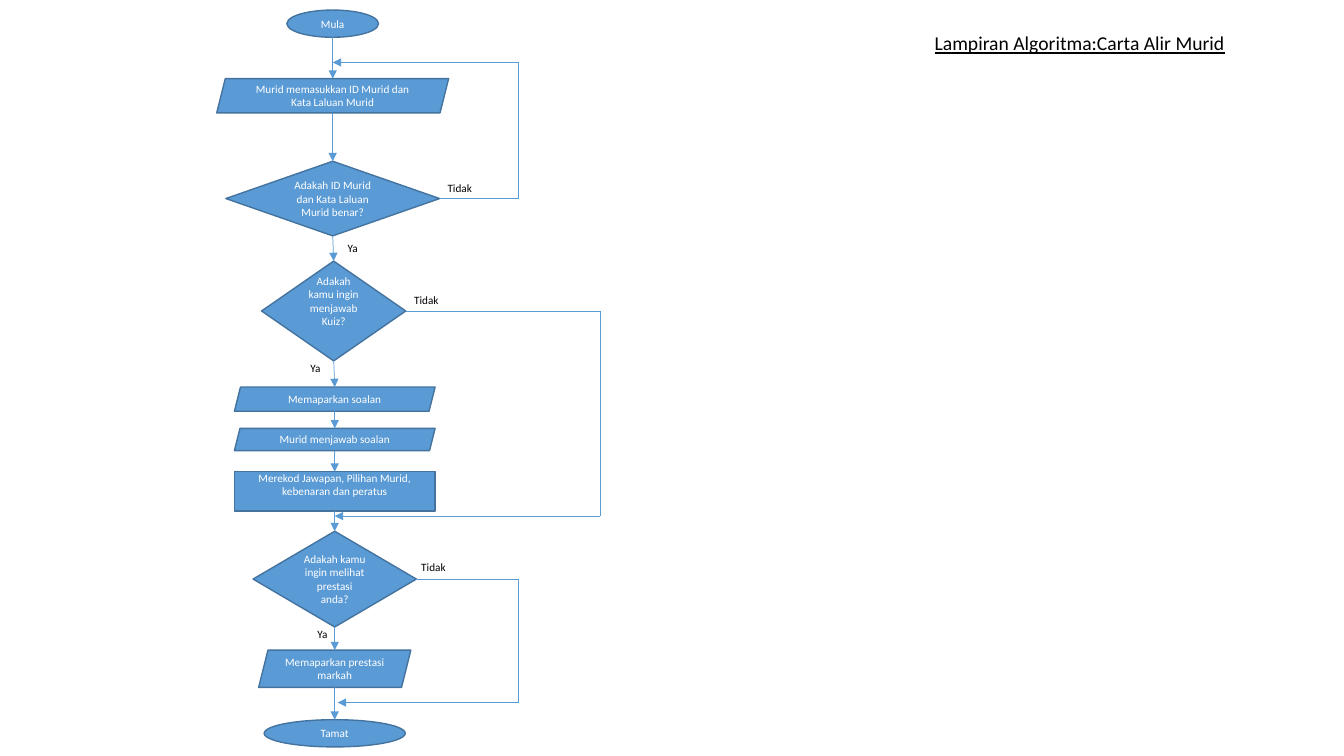
from dataclasses import dataclass
from itertools import pairwise

from lxml import etree
from pptx import Presentation
from pptx.dml.color import RGBColor
from pptx.enum.shapes import MSO_CONNECTOR, MSO_SHAPE
from pptx.enum.text import MSO_ANCHOR, PP_ALIGN
from pptx.oxml.ns import qn
from pptx.util import Inches, Pt

STRAIGHT = MSO_CONNECTOR.STRAIGHT
OVAL, DIAMOND = MSO_SHAPE.OVAL, MSO_SHAPE.DIAMOND
INPUT, PROCESS = MSO_SHAPE.PARALLELOGRAM, MSO_SHAPE.RECTANGLE
JOINABLE = (DIAMOND, PROCESS)
TOP, BOTTOM, RIGHT = 0, 2, 3
CELL = Inches(0.1)  # grid step for columns and rows


@dataclass(frozen=True)
class Theme:
    font: str = "Calibri"
    fill: RGBColor = RGBColor(0x5B, 0x9B, 0xD5)
    outline: RGBColor = RGBColor(0x43, 0x73, 0x9E)
    on_fill: RGBColor = RGBColor(0xFF, 0xFF, 0xFF)
    ink: RGBColor = RGBColor(0, 0, 0)
    title: Pt = Pt(14)
    body: Pt = Pt(8)
    border: Pt = Pt(1)
    flow: Pt = Pt(0.5)


THEME = Theme()

# kind, text, centre column, top row, columns, rows, extra rows below the text
STEPS = [
    (OVAL, "Mula", 13, 1, 9.1, 2.7, 0),
    (INPUT, "Murid memasukkan ID Murid dan Kata Laluan Murid", 13, 7.8, 23, 3.4, 0),
    (DIAMOND, "Adakah ID Murid dan Kata Laluan Murid benar?", 13, 16, 21.2, 7.4, 0),
    (DIAMOND, "Adakah kamu ingin menjawab Kuiz?", 13.1, 25.9, 14.3, 9.9, 2),
    (INPUT, "Memaparkan soalan", 13.2, 38.4, 19.9, 2.4, 0),
    (INPUT, "Murid menjawab soalan", 13.2, 42.5, 19.9, 2.2, 0),
    (PROCESS, "Merekod Jawapan, Pilihan Murid, kebenaran dan peratus",
     13.2, 46.8, 19.9, 3.9, 1.4),
    (DIAMOND, "Adakah kamu ingin melihat prestasi anda?", 13.2, 52.7, 16.2, 9.5, 0),
    (INPUT, "Memaparkan prestasi markah", 13.2, 64.5, 15.1, 3.7, 0),
    (OVAL, "Tamat", 13.2, 71.4, 14, 2.7, 0),
]
# deciding step, lane column, return row, column where the return ends
DETOURS = [(2, 31.4, 6.2, 13), (3, 39.5, 51.2, 13.2), (7, 31.4, 69.7, 13.5)]
# text, column, row, columns
ANSWERS = [
    ("Tidak", 23.4, 17.5, 6.2), ("Ya", 13.5, 23.5, 4.8),
    ("Tidak", 20.1, 28.6, 7), ("Ya", 9.8, 35.4, 6.1),
    ("Tidak", 20.8, 55.1, 6.7), ("Ya", 10.5, 61.7, 5.5),
]


def cells(n):
    return round(n * CELL)


def write(tf, text, size, color):
    tf.word_wrap = True
    p = tf.paragraphs[0]
    r = p.add_run()
    r.text = text
    r.font.name, r.font.size = THEME.font, size
    r.font.color.rgb = color
    return p, r


def add_step(s, box, kind, text, centre, top, cols, rows, lift):
    left, upper = box[0] + cells(centre - cols / 2), box[1] + cells(top)
    sp = s.shapes.add_shape(kind, left, upper, cells(cols), cells(rows))
    sp.shadow.inherit = False
    sp.fill.solid()
    sp.fill.fore_color.rgb = THEME.fill
    sp.line.color.rgb, sp.line.width = THEME.outline, THEME.border
    tf = sp.text_frame
    tf.vertical_anchor = MSO_ANCHOR.MIDDLE
    tf.margin_bottom += cells(lift)
    p, _ = write(tf, text, THEME.body, THEME.on_fill)
    p.alignment = PP_ALIGN.CENTER
    return sp


def port(sp, side):
    """Middle of the top, bottom or right side of a step."""
    x, y = sp.left + sp.width // 2, sp.top + sp.height // 2
    return {TOP: (x, sp.top), BOTTOM: (x, sp.top + sp.height),
            RIGHT: (sp.left + sp.width, y)}[side]


def add_line(s, start, end, arrow=False):
    line = s.shapes.add_connector(STRAIGHT, *start, *end)
    line.line.color.rgb, line.line.width = THEME.fill, THEME.flow
    if arrow:
        etree.SubElement(line.line._get_or_add_ln(), qn("a:tailEnd"), type="triangle")
    etree.SubElement(line._element.spPr, qn("a:effectLst"))
    return line


def add_detour(s, box, sp, lane, row, stop):
    """Route the 'Tidak' branch out to its lane and back to the main flow."""
    start = port(sp, RIGHT)
    lane, row = box[0] + cells(lane), box[1] + cells(row)
    points = [start, (lane, start[1]), (lane, row), (box[0] + cells(stop), row)]
    lines = [add_line(s, a, b, arrow=b == points[-1]) for a, b in pairwise(points)]
    lines[0].begin_connect(sp, RIGHT)


def add_flowchart(s, box):
    steps = [add_step(s, box, *step) for step in STEPS]
    for a, b in pairwise(steps):
        line = add_line(s, port(a, BOTTOM), port(b, TOP), arrow=True)
        if a.auto_shape_type in JOINABLE:
            line.begin_connect(a, BOTTOM)
        if b.auto_shape_type in JOINABLE:
            line.end_connect(b, TOP)
    for index, *route in DETOURS:
        add_detour(s, box, steps[index], *route)
    for text, col, row, cols in ANSWERS:
        sp = s.shapes.add_textbox(box[0] + cells(col), box[1] + cells(row),
                                  cells(cols), cells(2.4))
        write(sp.text_frame, text, THEME.body, THEME.ink)


def add_title(s, box):
    sp = s.shapes.title
    sp.left, sp.top, sp.width, sp.height = box
    tf = sp.text_frame
    tf.vertical_anchor = MSO_ANCHOR.TOP
    p, r = write(tf, "Lampiran Algoritma:Carta Alir Murid", THEME.title, THEME.ink)
    p.alignment = PP_ALIGN.LEFT
    r.font.underline = True


def main():
    prs = Presentation()
    prs.slide_width, prs.slide_height = Inches(13.33), Inches(7.5)
    s = prs.slides.add_slide(prs.slide_layouts[5])
    add_title(s, [cells(n) for n in (91.7, 2.6, 40.7, 3.4)])
    add_flowchart(s, (cells(20), 0))
    prs.save("out.pptx")


if __name__ == "__main__":
    main()
